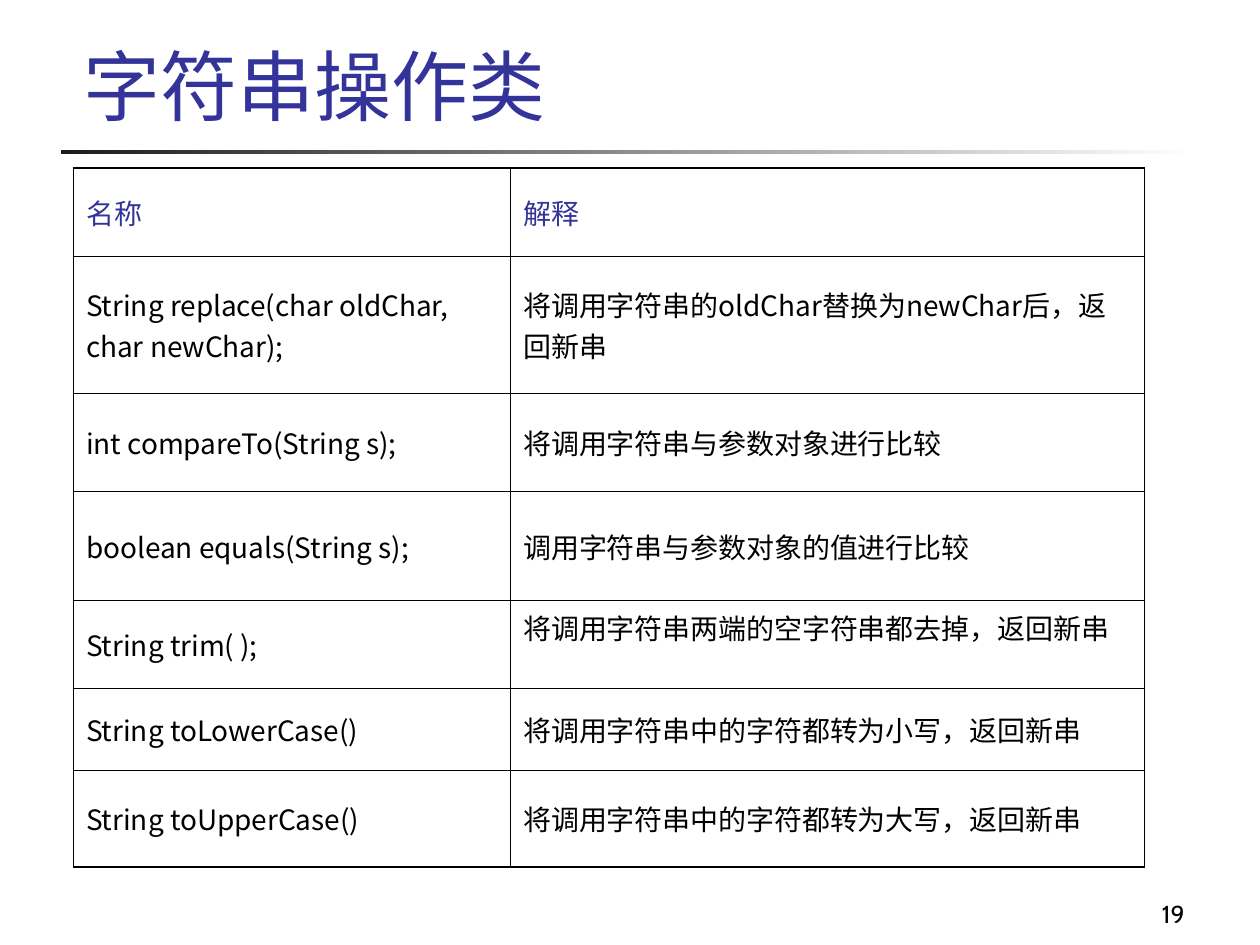
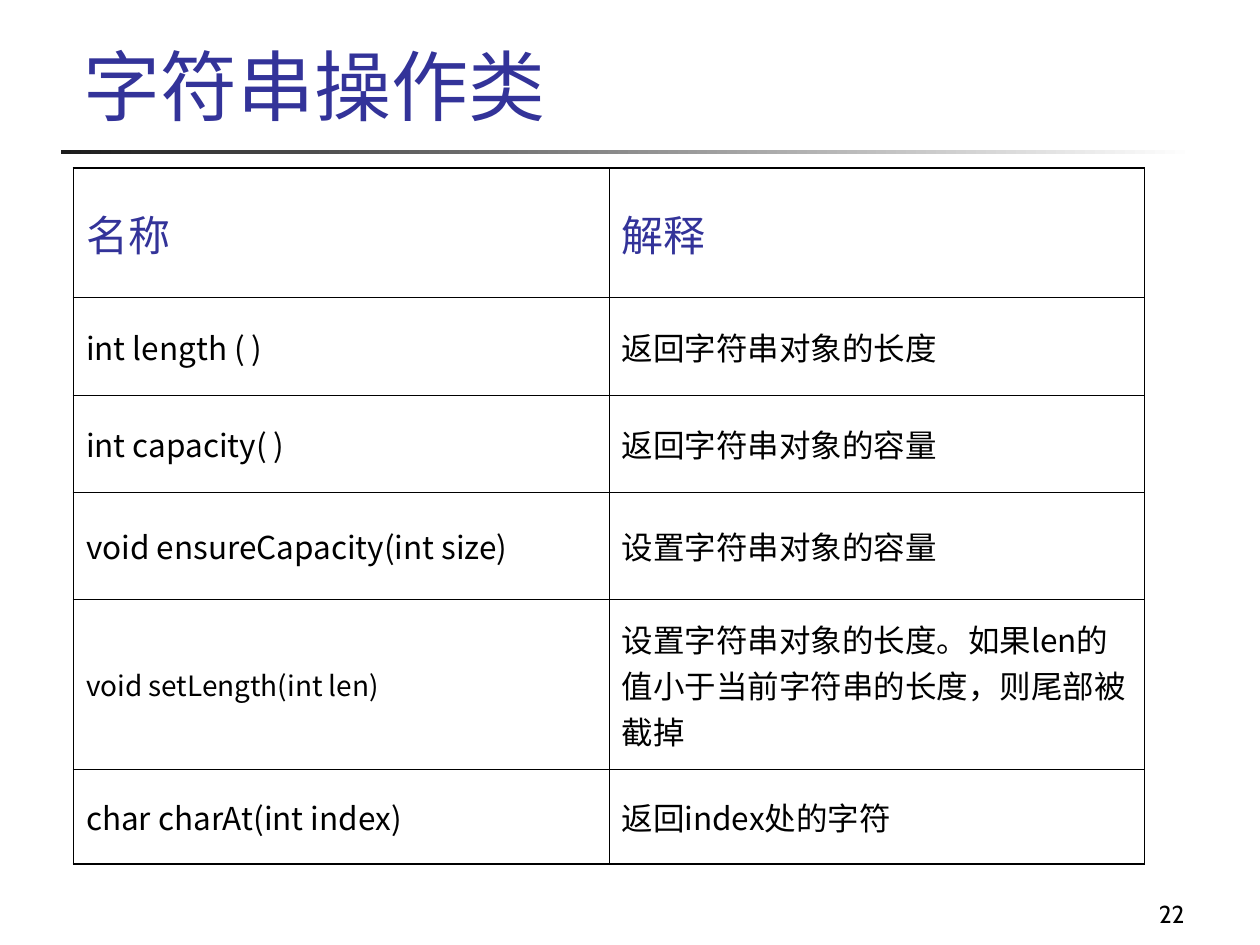
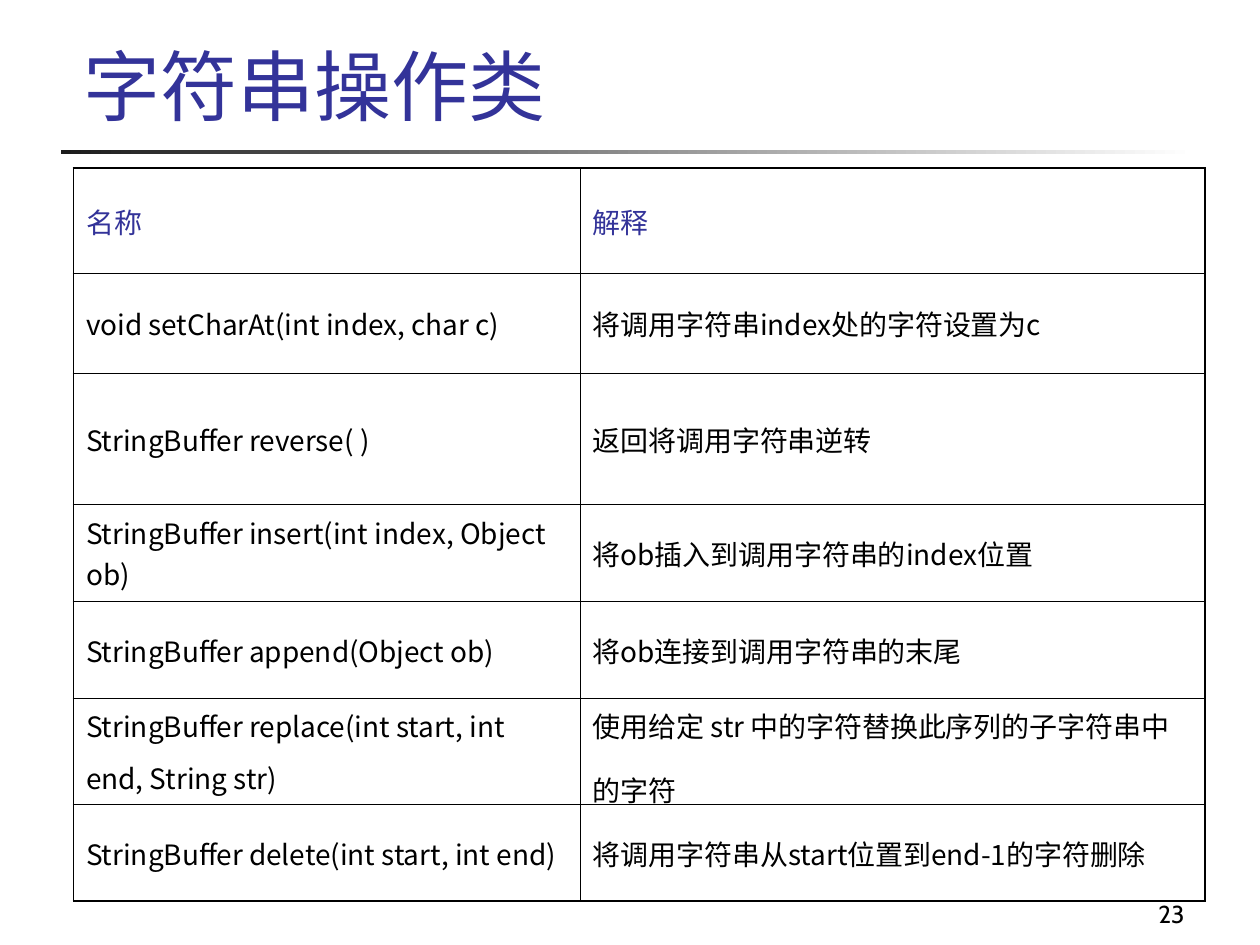
from dataclasses import dataclass

from lxml import etree
from pptx import Presentation
from pptx.dml.color import RGBColor
from pptx.enum import shapes, text
from pptx.oxml.ns import qn
from pptx.util import Pt

INDIGO = RGBColor(0x33, 0x33, 0x99)
BLACK = RGBColor(0, 0, 0)
CHARCOAL = RGBColor(0x1C, 0x1C, 0x1C)
WHITE = RGBColor(0xFF, 0xFF, 0xFF)

CJK_FONT = "Noto Sans CJK JP"
NUMBER_FONT = "Cabin"
TAIL_FONT = "Comic Neue"

TITLE = "字符串操作类"
HEADINGS = ("名称", "解释")
TABLE_LEFT, TABLE_TOP = 42, 96
OUTER_LINE, INNER_LINE = 1.08, 0.45


@dataclass
class MethodRow:
    height: float
    name: str
    meaning: str
    name_size: float = 0  # 0 takes the body size of the table
    tail_size: float = 0  # a larger closing space opens up the last line
    meaning_anchor: text.MSO_ANCHOR = text.MSO_ANCHOR.MIDDLE


@dataclass
class MethodSlide:
    number: int
    columns: tuple[float, float]
    heading_height: float
    heading_size: float
    body_size: float
    rows: list[MethodRow]


SLIDES = [
    MethodSlide(19, (249.8, 362.2), 50.4, 16, 16, [
        MethodRow(78.6, "String replace(char oldChar, char newChar);",
                  "将调用字符串的oldChar替换为newChar后，返回新串"),
        MethodRow(55.8, "int compareTo(String s);", "将调用字符串与参数对象进行比较"),
        MethodRow(62.4, "boolean equals(String s);", "调用字符串与参数对象的值进行比较"),
        MethodRow(50.3, "String trim( );", "将调用字符串两端的空字符串都去掉，返回新串",
                  meaning_anchor=text.MSO_ANCHOR.TOP),
        MethodRow(46.5, "String toLowerCase()", "将调用字符串中的字符都转为小写，返回新串"),
        MethodRow(55.6, "String toUpperCase()", "将调用字符串中的字符都转为大写，返回新串"),
    ]),
    MethodSlide(22, (306, 306), 74, 24, 18, [
        MethodRow(56, "int length ( )", "返回字符串对象的长度"),
        MethodRow(55.5, "int capacity( )", "返回字符串对象的容量"),
        MethodRow(61.2, "void ensureCapacity(int size)", "设置字符串对象的容量"),
        MethodRow(97.2, "void setLength(int len)",
                  "设置字符串对象的长度。如果len的值小于当前字符串的长度，则尾部被截掉",
                  name_size=16),
        MethodRow(54, "char charAt(int index)", "返回index处的字符"),
    ]),
    MethodSlide(23, (289.5, 357), 60.4, 16, 16, [
        MethodRow(57, "void setCharAt(int index, char c)", "将调用字符串index处的字符设置为c"),
        MethodRow(74.9, "StringBuffer reverse( )", "返回将调用字符串逆转"),
        MethodRow(55.4, "StringBuffer insert(int index, Object ob)",
                  "将ob插入到调用字符串的index位置"),
        MethodRow(55.6, "StringBuffer append(Object ob)", "将ob连接到调用字符串的末尾"),
        MethodRow(60.5, "StringBuffer replace(int start, int end, String str)",
                  "使用给定 str 中的字符替换此序列的子字符串中的字符", tail_size=28),
        MethodRow(55.3, "StringBuffer delete(int start, int end)",
                  "将调用字符串从start位置到end-1的字符删除"),
    ]),
]


def add_run(p, content: str, *, size: float, color: RGBColor = BLACK,
            font: str = CJK_FONT) -> None:
    r = p.add_run()
    r.text = content
    r.font.size = Pt(size)
    r.font.color.rgb = color
    r.font.name = font
    etree.SubElement(r._r.get_or_add_rPr(), qn("a:ea"), typeface=CJK_FONT)


def set_borders(cell, widths: dict[str, float]) -> None:
    tc_pr = cell._tc.get_or_add_tcPr()
    for index, (side, width) in enumerate(widths.items()):
        ln = etree.Element(qn(f"a:{side}"), w=str(int(Pt(width))))
        fill = etree.SubElement(ln, qn("a:solidFill"))
        etree.SubElement(fill, qn("a:srgbClr"), val=str(BLACK))
        tc_pr.insert(index, ln)


def fill_cell(cell, content: str, *, size: float, color: RGBColor = BLACK,
              tail_size: float = 0, anchor=text.MSO_ANCHOR.MIDDLE) -> None:
    cell.fill.background()
    cell.vertical_anchor = anchor
    p = cell.text_frame.paragraphs[0]
    p.space_before = Pt(max(size, tail_size) / 4)
    add_run(p, content, size=size, color=color)
    if tail_size:
        add_run(p, " ", size=tail_size, font=TAIL_FONT)


def add_method_table(slide, spec_slide: MethodSlide) -> None:
    heights = [spec_slide.heading_height] + [row.height for row in spec_slide.rows]
    last_row, last_column = len(heights) - 1, len(HEADINGS) - 1
    table = slide.shapes.add_table(
        len(heights), len(HEADINGS), Pt(TABLE_LEFT), Pt(TABLE_TOP),
        Pt(sum(spec_slide.columns)), Pt(sum(heights))).table
    table.first_row = table.horz_banding = False
    for column, width in zip(table.columns, spec_slide.columns):
        column.width = Pt(width)
    for table_row, height in zip(table.rows, heights):
        table_row.height = Pt(height)

    for c, heading in enumerate(HEADINGS):
        fill_cell(table.cell(0, c), heading, size=spec_slide.heading_size, color=INDIGO)
    for i, row in enumerate(spec_slide.rows, start=1):
        fill_cell(table.cell(i, 0), row.name, size=row.name_size or spec_slide.body_size,
                  tail_size=row.tail_size)
        fill_cell(table.cell(i, 1), row.meaning, size=spec_slide.body_size,
                  tail_size=row.tail_size, anchor=row.meaning_anchor)

    for i in range(len(heights)):
        for c in range(len(HEADINGS)):
            on_edge = {"lnL": c == 0, "lnR": c == last_column,
                       "lnT": i == 0, "lnB": i == last_row}
            set_borders(table.cell(i, c), {
                side: OUTER_LINE if edge else INNER_LINE for side, edge in on_edge.items()})


def add_page_number(slide, number: int) -> None:
    box = slide.shapes.add_textbox(Pt(534), Pt(498), Pt(150), Pt(36))
    tf = box.text_frame
    tf.word_wrap = True
    tf.vertical_anchor = text.MSO_ANCHOR.BOTTOM
    p = tf.paragraphs[0]
    p.alignment = text.PP_ALIGN.RIGHT
    add_run(p, str(number), size=14, font=NUMBER_FONT)


def add_title(slide) -> None:
    tf = slide.shapes.title.text_frame
    tf.vertical_anchor = text.MSO_ANCHOR.BOTTOM
    p = tf.paragraphs[0]
    p.alignment = text.PP_ALIGN.LEFT
    add_run(p, TITLE, size=44, color=INDIGO)


def move_band_to_layout(slide, layout) -> None:
    """Draw the fading title band and hand it to the layout all slides share."""
    band = slide.shapes.add_shape(shapes.MSO_SHAPE.RECTANGLE,
                                  Pt(34.8), Pt(85.7), Pt(648), Pt(2.25))
    band.shadow.inherit = False
    band.line.fill.background()
    band.fill.gradient()
    band.fill.gradient_angle = 0
    for stop, color, position in zip(band.fill.gradient_stops, (CHARCOAL, WHITE), (0, 1)):
        stop.color.rgb = color
        stop.position = position
    layout.shapes.element.append(band.element)


def main() -> None:
    prs = Presentation()
    prs.slide_width, prs.slide_height = Pt(720), Pt(540)
    layout = prs.slide_layouts.get_by_name("Title Only")
    title = layout.placeholders[0]
    title.left, title.top, title.width, title.height = Pt(40.4), Pt(12.4), Pt(613.4), Pt(66)

    for index, method_slide in enumerate(SLIDES):
        slide = prs.slides.add_slide(layout)
        if index == 0:
            move_band_to_layout(slide, layout)
        add_page_number(slide, method_slide.number)
        add_title(slide)
        add_method_table(slide, method_slide)
    prs.save("out.pptx")


if __name__ == "__main__":
    main()
